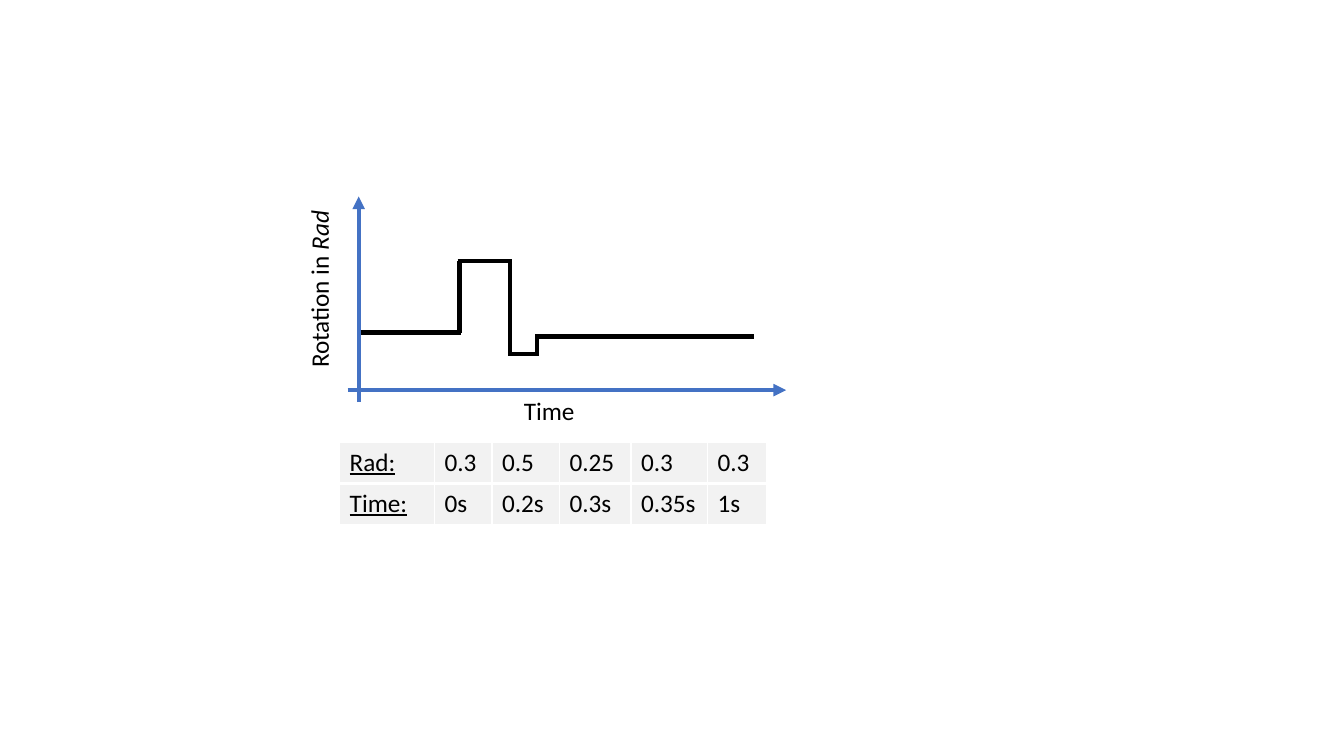
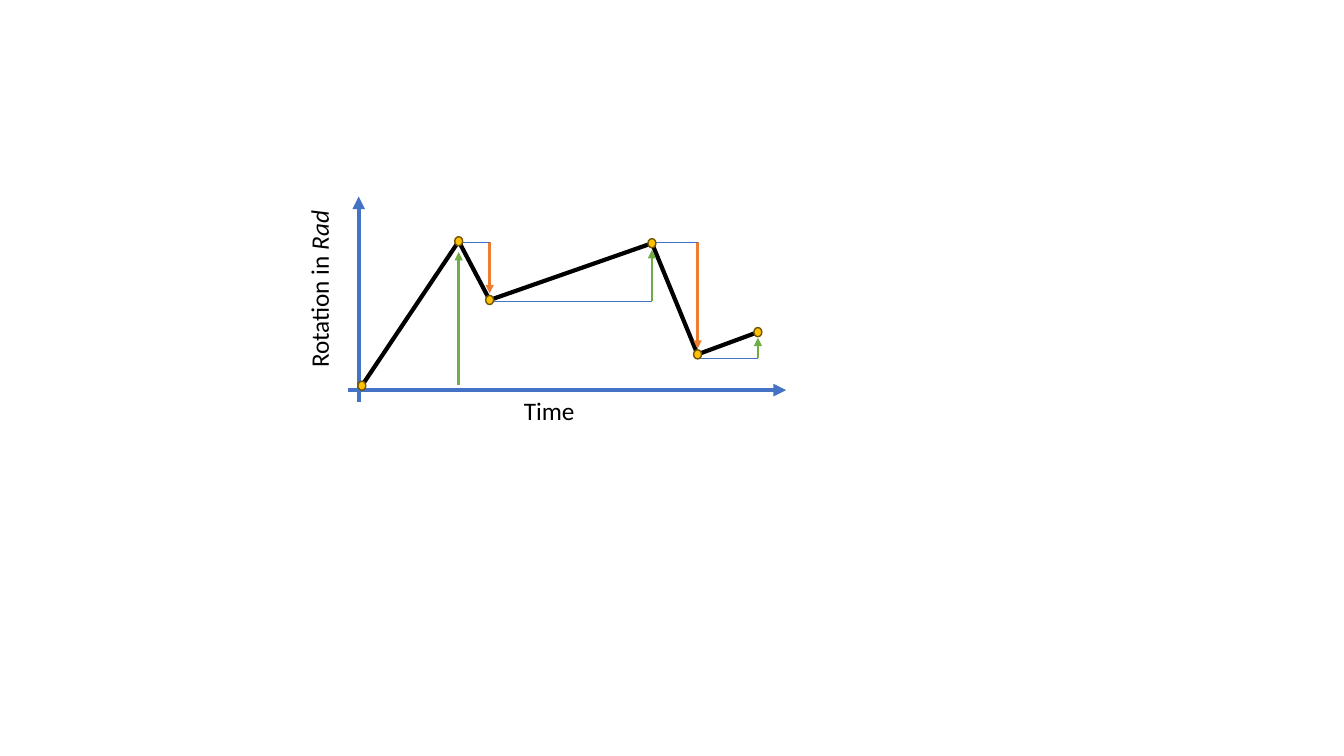
from itertools import pairwise

from pptx import Presentation
from pptx.dml.color import RGBColor
from pptx.enum.shapes import MSO_CONNECTOR, MSO_SHAPE
from pptx.enum.text import MSO_AUTO_SIZE
from pptx.oxml.ns import qn
from pptx.util import Cm, Pt
from lxml.etree import SubElement, Element

FONT, SIZE = "Calibri", 18
COLORS = {
    "axis": "4472C4", "curve": "000000", "text": "000000",
    "rise": "70AD47", "fall": "ED7D31",
    "dot": "FFC000", "dot_line": "705400",
    "cell": "F2F2F2", "border": "FFFFFF",
}

# All lengths are centimetres.
AXES = [((8.76, 9.83), (19.81, 9.83)), ((9.04, 10.13), (9.04, 4.95))]
TIME_BOX = (12.95, 9.83, 1.8, 1.02)
ROTATION_BOX = (5.79, 6.76, 4.5, 1.02)

STEP_EDGES = [9.14, 11.58, 12.85, 13.54, 18.95]
STEP_LEVELS = [8.38, 6.58, 8.92, 8.48]
OVERHANG = 0.05

TABLE_LEFT, TABLE_TOP, ROW_HEIGHT = 8.56, 11.15, 1.03
COLUMN_WIDTHS = [2.39, 1.45, 1.7, 1.8, 1.93, 1.49]
ROWS = [
    ["Rad:", "0.3", "0.5", "0.25", "0.3", "0.3"],
    ["Time:", "0s", "0.2s", "0.3s", "0.35s", "1s"],
]

KEYFRAMES = [(9.12, 9.72), (11.56, 6.08), (12.34, 7.56),
             (16.43, 6.13), (17.58, 8.93), (19.1, 8.37)]
# Start and tip height of the arrow leading to each keyframe after the first
ARROWS = [(9.7, 6.35), (6.1, 7.39), (7.59, 6.3), (6.1, 8.79), (9.02, 8.51)]
DOT_WIDTH, DOT_HEIGHT = 0.2, 0.23


def rgb(name):
    return RGBColor.from_string(COLORS[name])


def add_line(s, start, end, color, width=3, arrow=False):
    line = s.shapes.add_connector(
        MSO_CONNECTOR.STRAIGHT, *(Cm(v) for v in (*start, *end)))
    line.line.color.rgb = rgb(color)
    line.line.width = Pt(width)
    if arrow:
        SubElement(line.line._get_or_add_ln(), qn("a:tailEnd"), type="triangle")
    SubElement(line._element.spPr, qn("a:effectLst"))


def set_font(p):
    p.font.name, p.font.size = FONT, Pt(SIZE)
    p.font.color.rgb = rgb("text")


def add_label(s, box, *texts):
    """Add a one-line label and return its runs."""
    shape = s.shapes.add_textbox(*(Cm(v) for v in box))
    tf = shape.text_frame
    tf.word_wrap = False
    tf.auto_size = MSO_AUTO_SIZE.SHAPE_TO_FIT_TEXT
    p = tf.paragraphs[0]
    set_font(p)
    runs = []
    for text in texts:
        r = p.add_run()
        r.text = text
        runs.append(r)
    return shape, runs


def add_axes(s):
    for start, end in AXES:
        add_line(s, start, end, "axis", arrow=True)
    add_label(s, TIME_BOX, "Time")
    label, runs = add_label(s, ROTATION_BOX, "Rotation in ", "Rad")
    label.rotation = 270
    runs[1].font.italic = True


def set_borders(cell, widths):
    """Draw cell borders; widths maps a side (L, R, T, B) to points."""
    tc_pr = cell._tc.get_or_add_tcPr()
    for i, side in enumerate("LRTB"):
        ln = Element(qn(f"a:ln{side}"), w=str(Pt(widths[side])))
        fill = SubElement(ln, qn("a:solidFill"))
        SubElement(fill, qn("a:srgbClr"), val=COLORS["border"])
        tc_pr.insert(i, ln)


def add_values_table(s):
    table = s.shapes.add_table(
        len(ROWS), len(COLUMN_WIDTHS), Cm(TABLE_LEFT), Cm(TABLE_TOP),
        Cm(sum(COLUMN_WIDTHS)), Cm(ROW_HEIGHT * len(ROWS))).table
    table.first_row = table.horz_banding = False
    for column, width in zip(table.columns, COLUMN_WIDTHS):
        column.width = Cm(width)
    for i, values in enumerate(ROWS):
        table.rows[i].height = Cm(ROW_HEIGHT)
        for j, value in enumerate(values):
            cell = table.cell(i, j)
            cell.text = value
            cell.fill.solid()
            cell.fill.fore_color.rgb = rgb("cell")
            set_borders(cell, {"L": 1, "R": 1, "T": 3 if i else 1,
                               "B": 1 if i else 3})
            p = cell.text_frame.paragraphs[0]
            set_font(p)
            p.font.underline = j == 0


def add_step_curve(s):
    for (left, right), y in zip(pairwise(STEP_EDGES), STEP_LEVELS):
        add_line(s, (left - OVERHANG, y), (right + OVERHANG, y), "curve")
    for x, (y1, y2) in zip(STEP_EDGES[1:], pairwise(STEP_LEVELS)):
        add_line(s, (x, y1), (x, y2), "curve")


def add_dot(s, x, y):
    dot = s.shapes.add_shape(
        MSO_SHAPE.OVAL, Cm(x - DOT_WIDTH / 2), Cm(y - DOT_HEIGHT / 2),
        Cm(DOT_WIDTH), Cm(DOT_HEIGHT))
    dot.shadow.inherit = False
    dot.fill.solid()
    dot.fill.fore_color.rgb = rgb("dot")
    dot.line.color.rgb = rgb("dot_line")
    dot.line.width = Pt(1)


def add_keyframe_curve(s):
    legs = list(pairwise(KEYFRAMES))
    for start, end in legs:
        add_line(s, start, end, "curve")
    for i, ((x1, _), (x2, _)) in enumerate(legs):
        base, tip = ARROWS[i]
        color = "rise" if tip < base else "fall"
        add_line(s, (x2, base), (x2, tip), color, 2, arrow=True)
        if i:  # the first arrow stands on the time axis
            add_line(s, (x1, base), (x2, base), "axis", 0.5)
    for x, y in KEYFRAMES:
        add_dot(s, x, y)


def main():
    prs = Presentation()
    prs.slide_width, prs.slide_height = Cm(33.87), Cm(19.05)
    blank = prs.slide_layouts[6]
    for parts in ((add_values_table, add_step_curve), (add_keyframe_curve,)):
        s = prs.slides.add_slide(blank)
        add_axes(s)
        for add_part in parts:
            add_part(s)
    prs.save("out.pptx")


if __name__ == "__main__":
    main()
